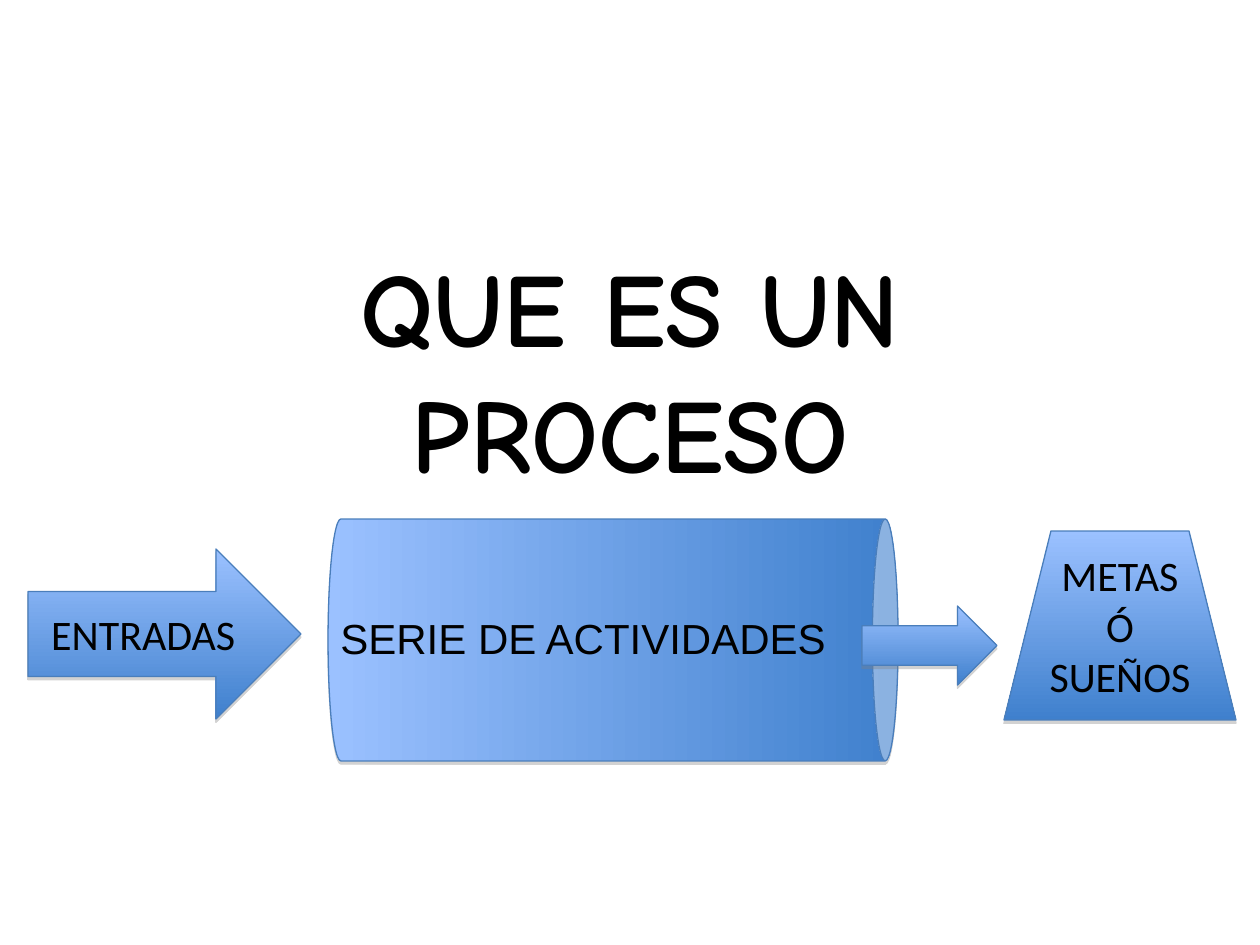
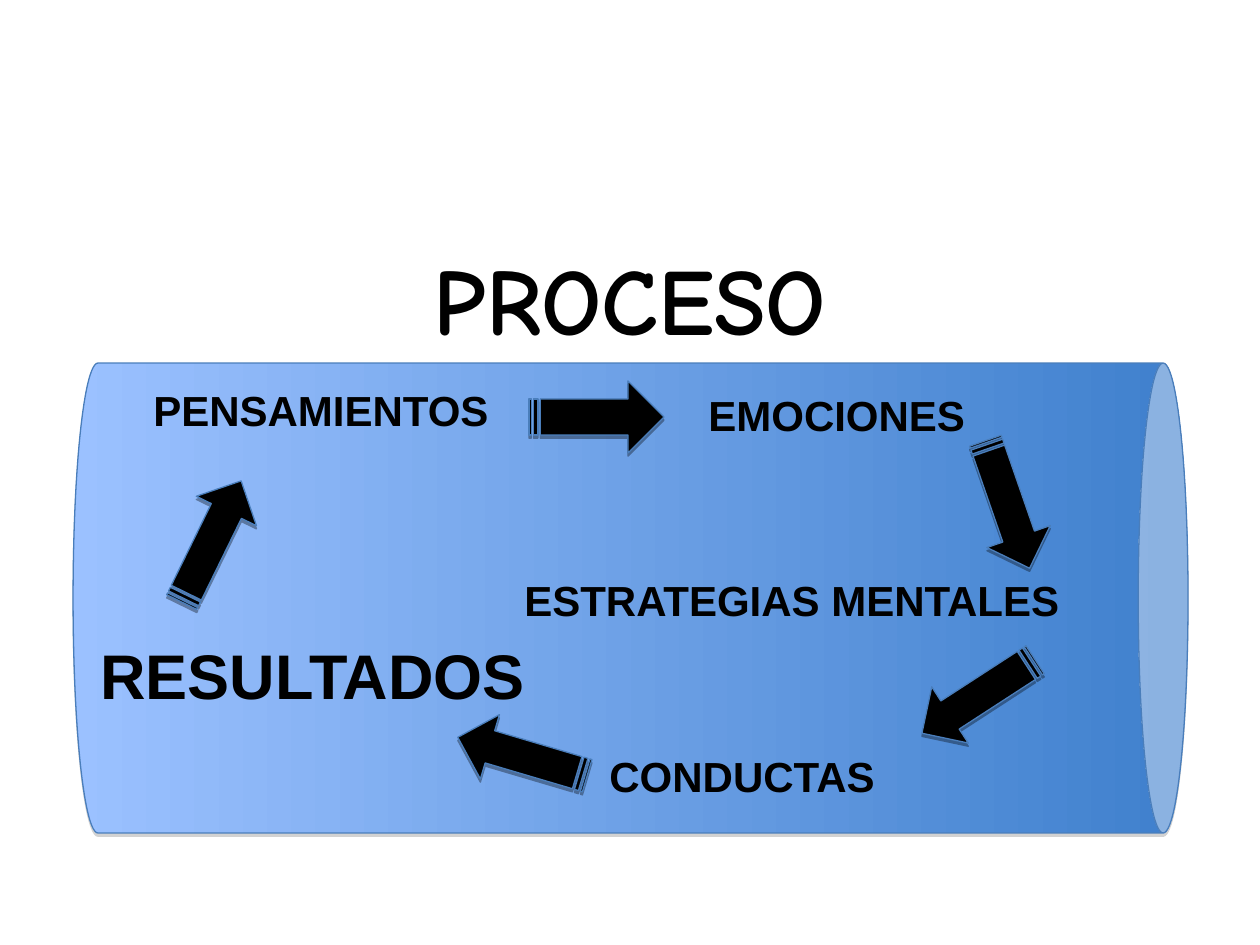
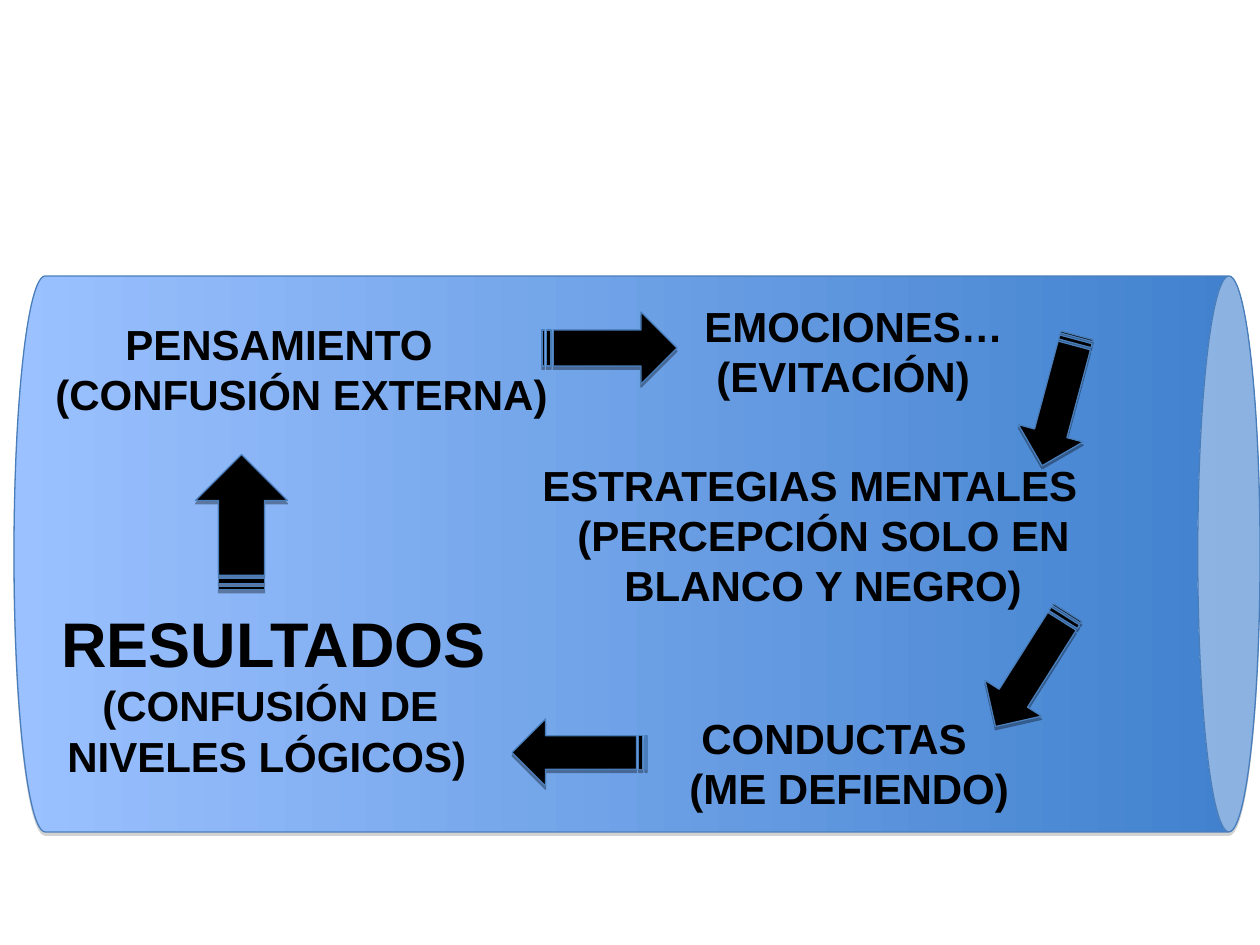
import lxml.etree
import pptx
import pptx.dml.color
import pptx.enum.shapes
import pptx.enum.text
import pptx.oxml.ns
import pptx.util

SCALE = 914400 / 126
COLORS = {
    "text": "000000",
    "light": "9BC1FF",
    "dark": "3F80CD",
    "outline": "4A7EBB",
    "step": "000000",
    "soft_shadow": "808080",
    "step_shadow": "000000",
}
TITLE_FONT = "Comic Neue"
LABEL_FONT = "Arial"
FLOW_FONT = "Calibri"
SHAPES = pptx.enum.shapes.MSO_SHAPE
ALIGN = pptx.enum.text.PP_ALIGN
ANCHOR = pptx.enum.text.MSO_ANCHOR


def px(length):
    """Turn px into EMU."""
    return pptx.util.Emu(round(length * SCALE))


def rgb(name):
    """Return the named colour."""
    return pptx.dml.color.RGBColor.from_string(COLORS[name])


def write(shape, text, font=LABEL_FONT, size=24, first_size=None, bold=False,
          align=ALIGN.LEFT, anchor=ANCHOR.TOP, indents=()):
    """Write one paragraph per line, each with its own optional indent in px."""
    frame = shape.text_frame
    frame.word_wrap = True
    frame.vertical_anchor = anchor
    for number, line in enumerate(text.split("\n")):
        paragraph = frame.paragraphs[0] if number == 0 else frame.add_paragraph()
        paragraph.text = line
        paragraph.alignment = align
        if number < len(indents):
            paragraph._p.get_or_add_pPr().set("marL", str(px(indents[number])))
        for run in paragraph.runs:
            run.font.name = font
            run.font.size = pptx.util.Pt(first_size if first_size and number == 0 else size)
            run.font.bold = bold
            run.font.color.rgb = rgb("text")


def cast_shadow(shape, color):
    """Give the shape a sharp translucent shadow just below it."""
    shape.shadow.inherit = False
    qn = pptx.oxml.ns.qn
    effects = shape._element.spPr.find(qn("a:effectLst"))
    shadow = lxml.etree.SubElement(
        effects, qn("a:outerShdw"), dist=str(pptx.util.Pt(1.8)), dir="5400000", rotWithShape="0")
    tone = lxml.etree.SubElement(shadow, qn("a:srgbClr"), val=COLORS[color])
    lxml.etree.SubElement(tone, qn("a:alpha"), val="35000")


def outline(shape):
    """Draw the thin blue outline."""
    shape.line.color.rgb = rgb("outline")
    shape.line.width = pptx.util.Pt(0.75)


def paint_blue(shape, angle=270):
    """Apply the blue gradient, outline and shadow, fixed to the slide's axes."""
    shape.fill.gradient()
    shape.fill.gradient_angle = angle
    for stop, color, position in zip(shape.fill.gradient_stops, ("light", "dark"), (0, 1)):
        stop.color.rgb = rgb(color)
        stop.position = position
    shape._element.spPr.find(pptx.oxml.ns.qn("a:gradFill")).set("rotWithShape", "0")
    outline(shape)
    cast_shadow(shape, "soft_shadow")


def add_label(slide, left, top, width, height, text, **style):
    """Add a text box."""
    box = slide.shapes.add_textbox(px(left), px(top), px(width), px(height))
    write(box, text, **style)


def add_title(slide, top, height, text, size):
    """Add a title across the slide."""
    add_label(slide, 0, top, 1260, height, text, font=TITLE_FONT, size=size,
              bold=True, align=ALIGN.CENTER, anchor=ANCHOR.MIDDLE)


def add_cylinder(slide, left, top, length, diameter, rim=0.106):
    """Add a can lying on its side, given by its visible frame."""
    shift = (length - diameter) / 2
    can = slide.shapes.add_shape(
        SHAPES.CAN, px(left + shift), px(top - shift), px(diameter), px(length))
    can.rotation = 90
    can.adjustments[0] = rim
    paint_blue(can, angle=0)


def add_flow_arrow(slide, left, top, width, height, text=""):
    """Add a blue arrow with an optional caption."""
    arrow = slide.shapes.add_shape(
        SHAPES.RIGHT_ARROW, px(left), px(top), px(width), px(height))
    paint_blue(arrow)
    if text:
        write(arrow, text, font=FLOW_FONT, align=ALIGN.CENTER, anchor=ANCHOR.MIDDLE)


def add_goal(slide, corners, text):
    """Add the trapezoid of goals."""
    points = [(px(x), px(y)) for x, y in corners]
    builder = slide.shapes.build_freeform(*points[0])
    builder.add_line_segments(points[1:], close=True)
    goal = builder.convert_to_shape()
    paint_blue(goal)
    write(goal, text, font=FLOW_FONT, align=ALIGN.CENTER, anchor=ANCHOR.MIDDLE)


def add_step_arrow(slide, left, top, height=67, rotation=0):
    """Add a black striped arrow between two steps."""
    arrow = slide.shapes.add_shape(
        SHAPES.STRIPED_RIGHT_ARROW, px(left), px(top), px(135), px(height))
    arrow.rotation = rotation
    arrow.fill.solid()
    arrow.fill.fore_color.rgb = rgb("step")
    outline(arrow)
    cast_shadow(arrow, "step_shadow")


def build_definition(slide):
    """Build the slide that defines a process."""
    add_title(slide, 235, 267, "QUE ES UN\vPROCESO", 60)
    add_cylinder(slide, 328, 519, 570, 242)
    add_flow_arrow(slide, 28, 549, 273, 170, "ENTRADAS")
    add_goal(slide, [(1004, 720), (1051, 531), (1189, 531), (1236, 720)], "METAS\nÓ\nSUEÑOS")
    add_flow_arrow(slide, 862, 606, 135, 79)
    add_label(slide, 328, 606, 534, 63, "SERIE DE ACTIVIDADES")


def build_cycle(slide):
    """Build the slide with the steps of the process."""
    add_title(slide, 230, 136, "PROCESO", 54)
    add_cylinder(slide, 73, 363, 1115, 470)
    for left, top, width, text in [
        (141, 378, 403, "PENSAMIENTOS"),
        (696, 383, 282, "EMOCIONES"),
        (512, 568, 566, "ESTRATEGIAS MENTALES"),
        (597, 744, 294, "CONDUCTAS"),
    ]:
        add_label(slide, left, top, width, 63, text, bold=True)
    add_label(slide, 88, 630, 459, 88, "RESULTADOS", size=36, bold=True)
    add_step_arrow(slide, 529, 381, height=72)
    for left, top, rotation in [
        (940, 471, 70.9), (911, 663, 147), (455, 723, 196.5), (144, 508, 296.1),
    ]:
        add_step_arrow(slide, left, top, rotation=rotation)


def build_example(slide):
    """Build the slide with an example of each step."""
    add_cylinder(slide, 14, 276, 1246, 556, rim=0.112)
    for left, top, width, height, text, indents in [
        (43, 312, 524, 113, "PENSAMIENTO\n(CONFUSIÓN EXTERNA)", (70, 0)),
        (692, 294, 345, 113, "EMOCIONES…\n(EVITACIÓN)", (0, 12)),
        (530, 453, 566, 164,
         "ESTRATEGIAS MENTALES\n(PERCEPCIÓN SOLO EN\nBLANCO Y NEGRO)", (0, 35, 82)),
        (677, 706, 360, 113, "CONDUCTAS\n(ME DEFIENDO)", (12, 0)),
    ]:
        add_label(slide, left, top, width, height, text, indents=indents, bold=True)
    add_label(slide, 33, 598, 499, 239, "RESULTADOS\n(CONFUSIÓN DE\nNIVELES LÓGICOS)",
              first_size=36, indents=(16, 57, 22), bold=True)
    add_step_arrow(slide, 542, 312, height=72)
    for left, top, rotation in [(992, 367, 105), (964, 636, 122.3), (512, 719, 180)]:
        add_step_arrow(slide, left, top, rotation=rotation)
    add_step_arrow(slide, 174, 476, height=92, rotation=270)


def main():
    """Build and save the presentation."""
    deck = pptx.Presentation()
    deck.slide_width, deck.slide_height = px(1260), px(945)
    for build in (build_definition, build_cycle, build_example):
        build(deck.slides.add_slide(deck.slide_layouts[6]))
    deck.save("out.pptx")


if __name__ == "__main__":
    main()
